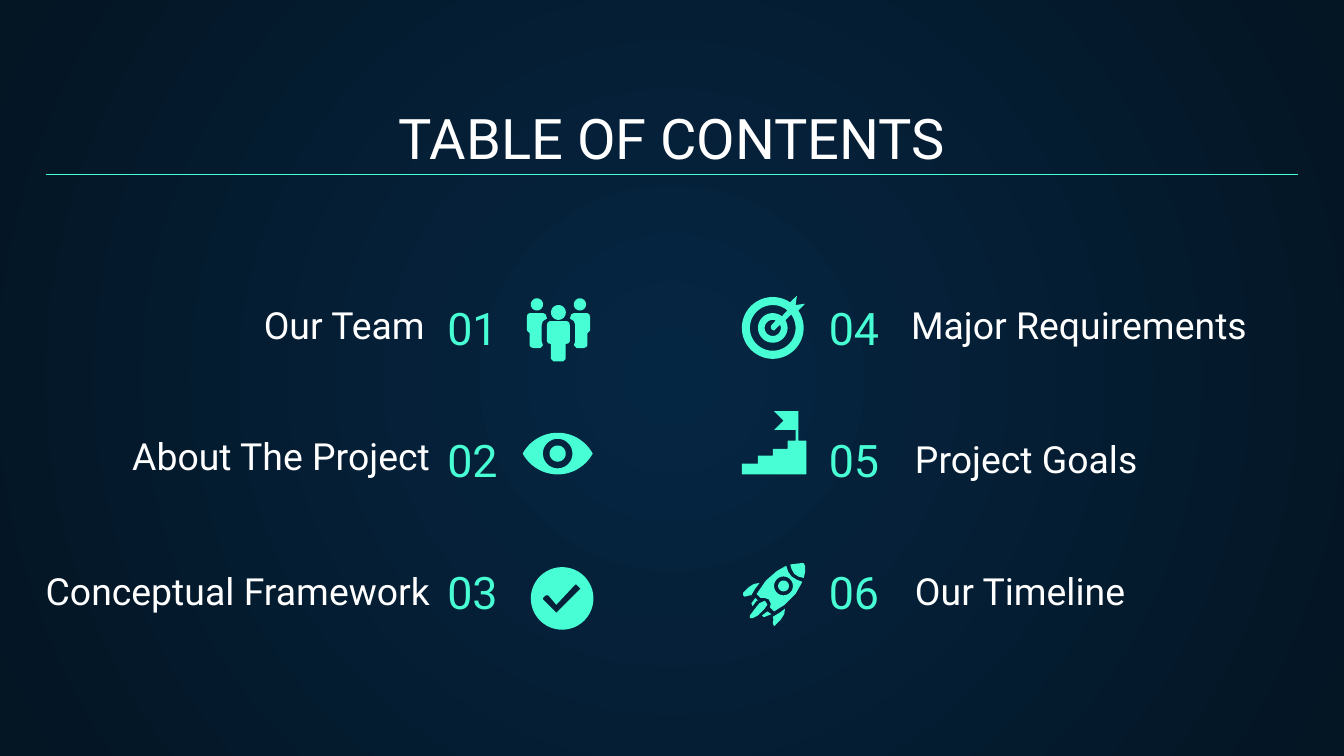
import math
import pptx
import pptx.util
import pptx.dml.color
import pptx.enum.text
import pptx.enum.shapes
import pptx.oxml
import pptx.oxml.ns

theme = {
    "font": "Roboto",
    "text": pptx.dml.color.RGBColor.from_string("FFFFFF"),
    "accent": pptx.dml.color.RGBColor.from_string("48FFD5"),
    "glow": pptx.dml.color.RGBColor.from_string("052643"),
    "edge": pptx.dml.color.RGBColor.from_string("041523"),
    "title_size": 30,
    "number_size": 24,
    "label_size": 20,
    "rule_width": 0.75,
}
left = pptx.enum.text.PP_ALIGN.LEFT
right = pptx.enum.text.PP_ALIGN.RIGHT
center = pptx.enum.text.PP_ALIGN.CENTER


def arc(x, y, radius, start=0, end=360):
    steps = 48
    angles = [math.radians(start + (end - start) * step / steps) for step in range(steps + 1)]
    return [(x + radius * math.cos(angle), y + radius * math.sin(angle)) for angle in angles]


def write(shape, box, text, size, color, alignment):
    for side, value in zip(("left", "top", "width", "height"), box):
        setattr(shape, side, round(value * cell))
    frame = shape.text_frame
    frame_format = {
        "word_wrap": True,
        "auto_size": pptx.enum.text.MSO_AUTO_SIZE.NONE,
        "vertical_anchor": pptx.enum.text.MSO_ANCHOR.BOTTOM,
    }
    for margin in ("left", "top", "right", "bottom"):
        frame_format["margin_" + margin] = round(cell)
    for name, value in frame_format.items():
        setattr(frame, name, value)
    paragraph = frame.paragraphs[0]
    paragraph.alignment = alignment
    run = paragraph.add_run()
    run.text = text
    font_format = {"name": theme["font"], "size": pptx.util.Pt(size), "bold": False}
    for name, value in font_format.items():
        setattr(run.font, name, value)
    run.font.color.rgb = color


presentation = pptx.Presentation()
presentation.slide_width = pptx.util.Inches(10)
presentation.slide_height = presentation.slide_width * 9 // 16
cell = presentation.slide_width / 100
slide = presentation.slides.add_slide(presentation.slide_layouts[5])

background = slide.background.fill
background.gradient()
for stop, color in zip(background.gradient_stops, ("glow", "edge")):
    stop.color.rgb = theme[color]
gradient = slide.element.find(".//" + pptx.oxml.ns.qn("a:gradFill"))
gradient.remove(gradient.find(pptx.oxml.ns.qn("a:lin")))
gradient.append(pptx.oxml.parse_xml(
    '<a:path %s path="circle"><a:fillToRect l="50000" t="50000" r="50000" b="50000"/></a:path>'
    % pptx.oxml.ns.nsdecls("a")))

write(slide.shapes.title, (3.4, 7.1, 93.2, 6.6), "TABLE OF CONTENTS",
      theme["title_size"], theme["text"], center)

first_row, row_pitch = 20.8, 9.8
number_columns = [(32.3, left), (53.5, right)]
for index in range(6):
    column, row = divmod(index, 3)
    x, alignment = number_columns[column]
    box = (x, first_row + row * row_pitch, 12.9, 6.6)
    write(slide.shapes.add_textbox(0, 0, 0, 0), box, f"{index + 1:02d}",
          theme["number_size"], theme["accent"], alignment)

labels = [
    ("Our Team", (6.3, 24.3, 26.3, 2.5), right),
    ("About The Project", (1.3, 33.9, 31.7, 2.7), right),
    ("Conceptual Framework", (1.3, 43.6, 31.7, 3), right),
    ("Major Requirements", (66.8, 24.1, 28.2, 2.7), left),
    ("Project Goals", (67.1, 34.7, 22.7, 2.1), left),
    ("Our Timeline", (67.1, 44.5, 22.7, 2.1), left),
]
for text, box, alignment in labels:
    write(slide.shapes.add_textbox(0, 0, 0, 0), box, text,
          theme["label_size"], theme["text"], alignment)

target = [[
    arc(23, 24, 23, -34, 304) + [(41, 0), (40, 7), (47, 6)],
    arc(23, 24, 17, -36, 310) + arc(23, 24, 11, 308, -31),
    arc(23, 24, 6, -18, 292) + [(22, 22), (21.5, 23.5), (22, 25), (24, 26), (25, 25), (28, 22)],
]]

rocket = [
    [[(10, 26), (7, 30), (8, 32), (11, 28), (12, 28)]],
    [[(19, 36), (15, 39), (16, 40), (17, 40), (22, 38)]],
    [[(17, 28), (13, 30), (9, 35), (6, 39), (6, 41), (8, 41), (12, 39), (17, 34),
      (19, 31), (18, 29)]],
    [[(12, 15), (9, 15.5), (5, 18), (1, 22), (1, 24), (2, 25), (6, 24), (7, 24),
      (10, 19), (13, 15)]],
    [[(32, 34), (28, 37), (23, 40), (23.5, 42), (23, 45), (24, 47), (25, 46),
      (29, 42), (31.5, 38)]],
    [arc(31, 17, 4)],
    [[(44, 0), (36, 1), (37, 4.5), (39, 8), (42, 10), (46, 11), (47, 7), (47, 2), (46, 0)]],
    [[(33, 2), (26, 6), (18, 13), (11, 23), (14, 26), (17, 26), (20, 27), (21.5, 30),
      (21, 33), (24, 36), (32, 31), (40, 23), (45, 14), (41, 12.5), (37, 10), (34.5, 6.5)],
     arc(31, 17, 7)],
]

check = [[
    arc(23.3, 23.3, 23.3),
    [(34, 13), (37, 16), (19, 34), (18, 33), (9, 24), (9, 23), (11, 21), (13, 21),
     (19, 28), (33, 13)],
]]

side_person = [
    arc(7.5, 4.5, 4.5),
    [(2, 11), (0.5, 12), (0, 14), (0, 24), (2, 26), (2, 35), (3, 36.5), (5, 37), (10, 37),
     (12, 35), (11, 32), (11, 20), (12, 17), (15, 15), (14, 12), (12, 11)],
]
front_half = [(17, 17), (15.5, 18), (15, 20), (15, 32), (16, 33.5), (18, 34), (18, 45), (20, 47)]
team = [[part] for part in side_person]
team += [[[(47 - x, y) for x, y in part]] for part in side_person]
team += [[front_half + [(47 - x, y) for x, y in reversed(front_half)]], [arc(23.5, 10.5, 5.5)]]

stairs = [[[
    (24, 0), (31, 7), (24, 14), (40, 14), (40, 22), (34, 22), (34, 28), (23, 28), (23, 33),
    (12, 33), (12, 39), (0, 39), (0, 47), (48, 47), (48, 22), (42, 22), (42, 0),
]]]

eye = [[
    arc(26, 29.6, 29.6, 208.6, 331.4) + arc(26, 1.4, 29.6, 28.6, 151.4),
    arc(26, 15.5, 11),
    arc(26, 15.5, 6),
]]

icons = [
    (target, 55.2, 22),
    (rocket, 55.2, 41.9),
    (check, 39.5, 42.2),
    (team, 39.2, 22.2),
    (stairs, 55.2, 30.6),
    (eye, 38.9, 32.2),
]
for pieces, icon_x, icon_y in icons:
    container = slide.shapes.add_group_shape().shapes if len(pieces) > 1 else slide.shapes
    for contours in pieces:
        outlines = [[((icon_x + x / 10) * cell, (icon_y + y / 10) * cell) for x, y in contour]
                    for contour in contours]
        builder = container.build_freeform(*outlines[0][0])
        for outline in outlines:
            if outline is not outlines[0]:
                builder.move_to(*outline[0])
            builder.add_line_segments(outline[1:], close=True)
        shape = builder.convert_to_shape()
        shape.shadow.inherit = False
        shape.fill.solid()
        shape.fill.fore_color.rgb = theme["accent"]
        shape.line.fill.background()

rule = slide.shapes.add_connector(
    pptx.enum.shapes.MSO_CONNECTOR.STRAIGHT,
    *[round(value * cell) for value in (3.4, 13, 96.6, 13)])
rule.line.color.rgb = theme["accent"]
rule.line.width = pptx.util.Pt(theme["rule_width"])
rule.element.spPr.append(
    pptx.oxml.parse_xml("<a:effectLst %s/>" % pptx.oxml.ns.nsdecls("a")))

presentation.save("out.pptx")
